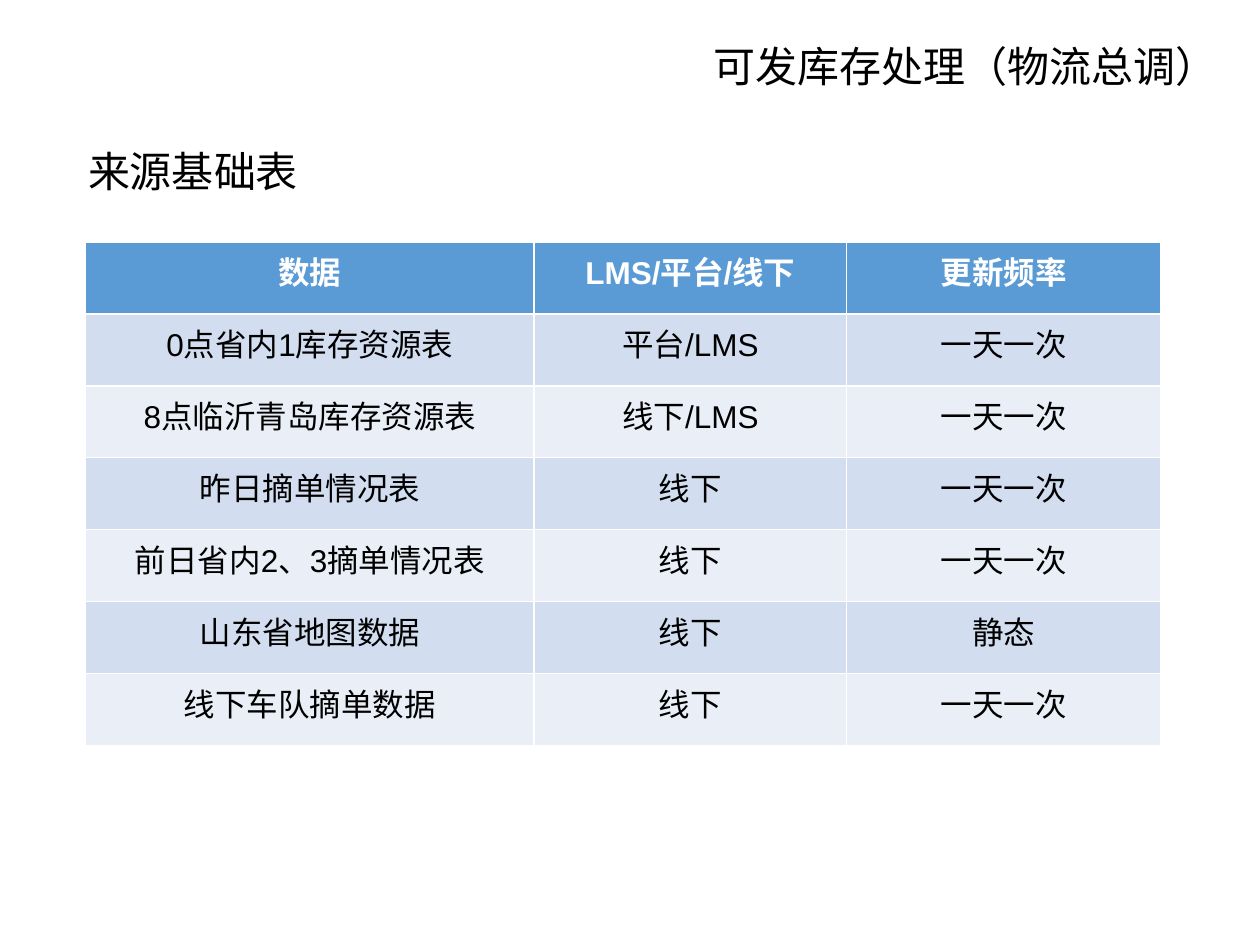
import dataclasses
import pptx
import pptx.dml.color
import pptx.enum.text
import pptx.util

RGBColor = pptx.dml.color.RGBColor
ALIGN = pptx.enum.text.PP_ALIGN
WHITE = RGBColor(0xFF, 0xFF, 0xFF)
BLACK = RGBColor(0x00, 0x00, 0x00)
BLUE = RGBColor(0x5B, 0x9B, 0xD5)
BANDS = (RGBColor(0xEA, 0xEF, 0xF7), RGBColor(0xD2, 0xDE, 0xEF))
WIDE, HIGH = pptx.util.Inches(10), pptx.util.Inches(7.5)


@dataclasses.dataclass
class Row:
    data: str
    source: str = "线下"
    rate: str = "一天一次"


@dataclasses.dataclass
class Box:
    left: float
    top: float
    width: float
    height: float

    def place(self) -> tuple[int, int, int, int]:
        return (int(self.left * WIDE), int(self.top * HIGH),
                int(self.width * WIDE), int(self.height * HIGH))


ROWS = [
    Row("数据", "LMS/平台/线下", "更新频率"),
    Row("0点省内1库存资源表", "平台/LMS"),
    Row("8点临沂青岛库存资源表", "线下/LMS"),
    Row("昨日摘单情况表"),
    Row("前日省内2、3摘单情况表"),
    Row("山东省地图数据", rate="静态"),
    Row("线下车队摘单数据"),
]
SHARES = (0.356, 0.248, 0.249)
TITLE = Box(0.501, 0.036, 0.475, 0.067)
HEAD = Box(0.06, 0.147, 0.662, 0.067)
TABLE = Box(0.068, 0.256, sum(SHARES), 0.533)


def style(par, size: int, color: RGBColor, align, face: str = "Arial", bold: bool = False) -> None:
    par.alignment = align
    font = par.font
    font.size = pptx.util.Pt(size)
    font.name = face
    font.bold = bold
    font.color.rgb = color


def write(shape, box: Box, text: str, align, face: str) -> None:
    shape.left, shape.top, shape.width, shape.height = box.place()
    frame = shape.text_frame
    frame.text = text
    frame.word_wrap = True
    frame.vertical_anchor = pptx.enum.text.MSO_ANCHOR.TOP
    frame.auto_size = pptx.enum.text.MSO_AUTO_SIZE.SHAPE_TO_FIT_TEXT
    style(frame.paragraphs[0], 24, BLACK, align, face)


def draw_table(slide, rows: list[Row], box: Box) -> None:
    table = slide.shapes.add_table(len(rows), len(SHARES), *box.place()).table
    for col, share in zip(table.columns, SHARES):
        col.width = int(share * WIDE)
    for r, row in enumerate(rows):
        head = r == 0
        for c, text in enumerate(dataclasses.astuple(row)):
            cell = table.cell(r, c)
            cell.text = text
            cell.fill.solid()
            cell.fill.fore_color.rgb = BLUE if head else BANDS[r % 2]
            style(cell.text_frame.paragraphs[0], 18, WHITE if head else BLACK,
                  ALIGN.CENTER, bold=head)


def main() -> None:
    deck = pptx.Presentation()
    deck.slide_width, deck.slide_height = WIDE, HIGH
    slide = deck.slides.add_slide(deck.slide_layouts[5])
    draw_table(slide, ROWS, TABLE)
    label = slide.shapes.add_textbox(*HEAD.place())
    write(label, HEAD, "来源基础表", ALIGN.LEFT, "Arial")
    write(slide.shapes.title, TITLE, "可发库存处理（物流总调）", ALIGN.RIGHT, "Noto Sans CJK SC")
    deck.save("out.pptx")


if __name__ == "__main__":
    main()
